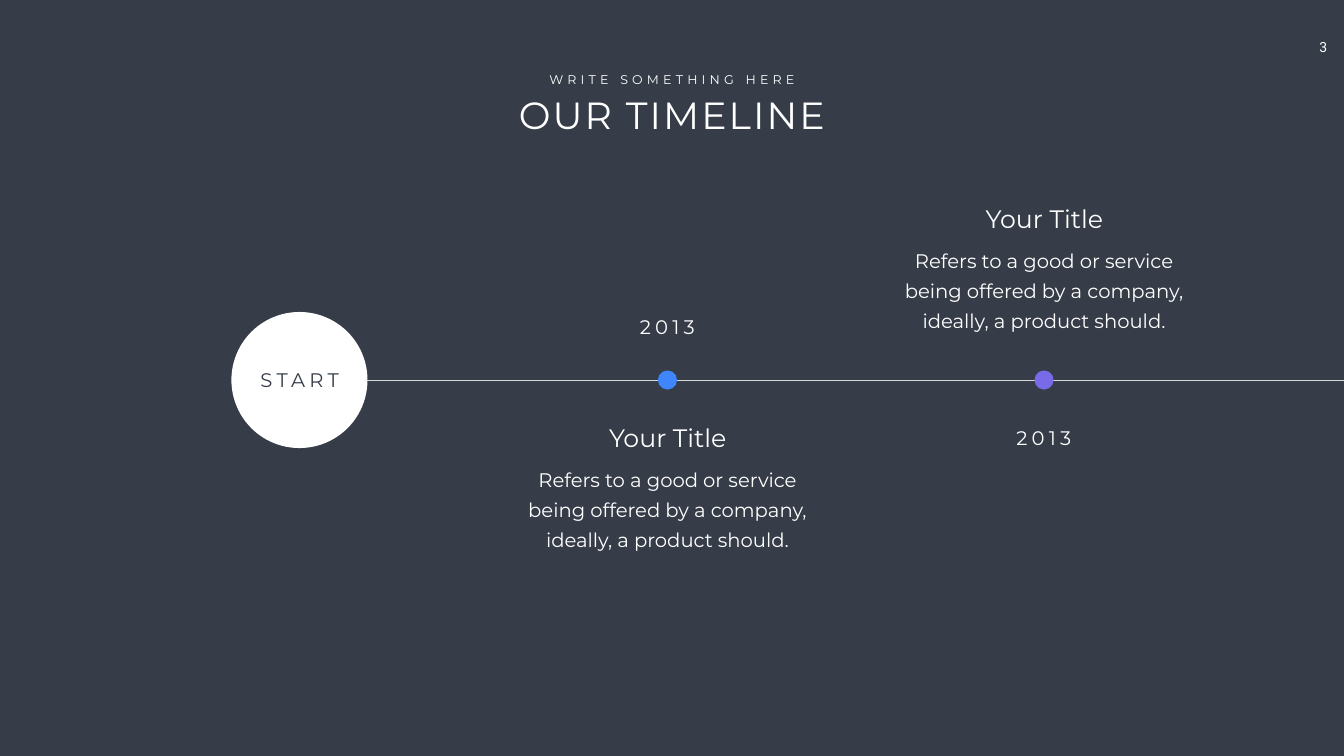
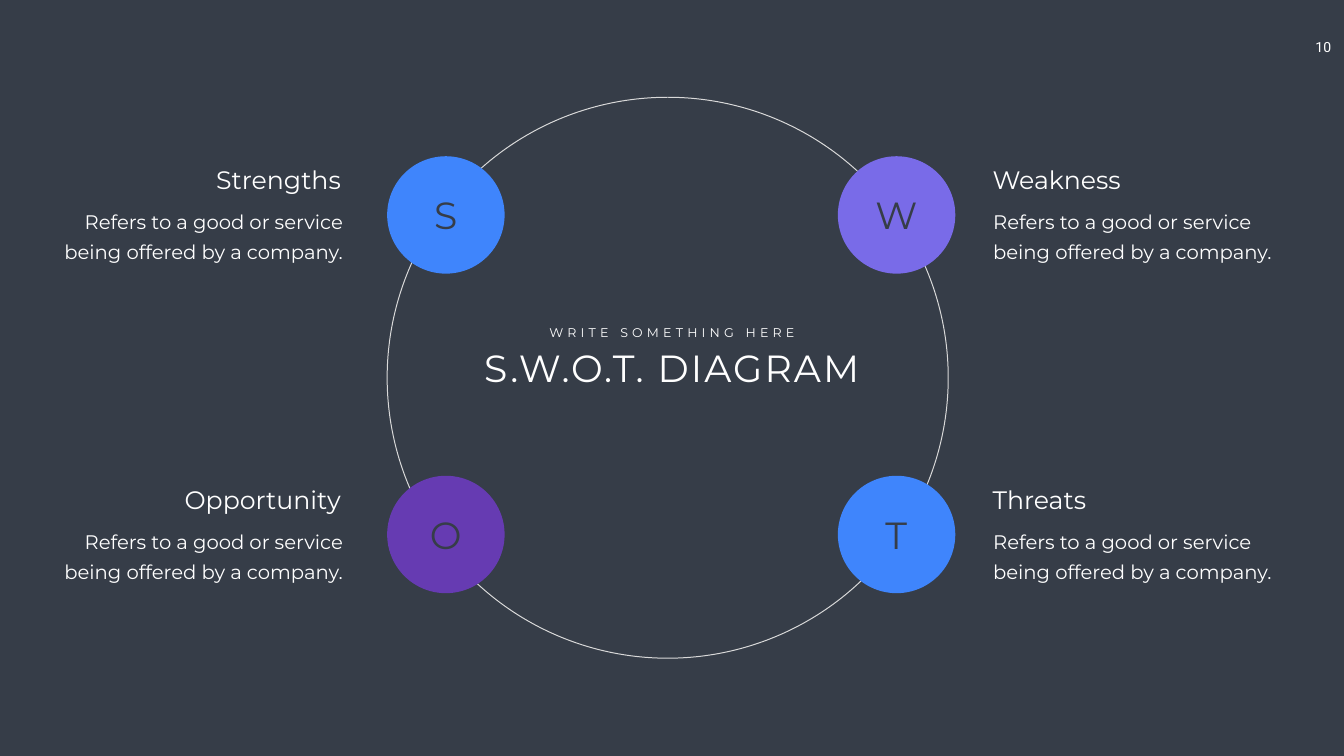
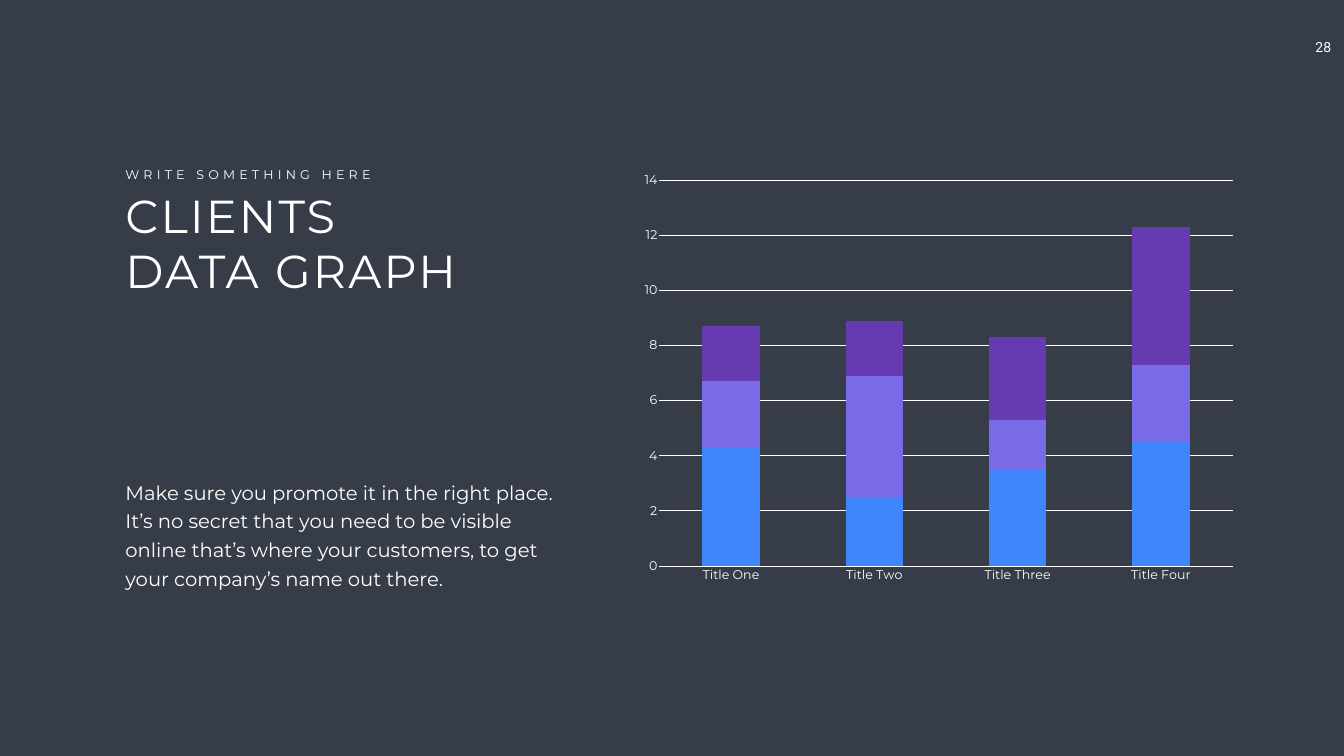
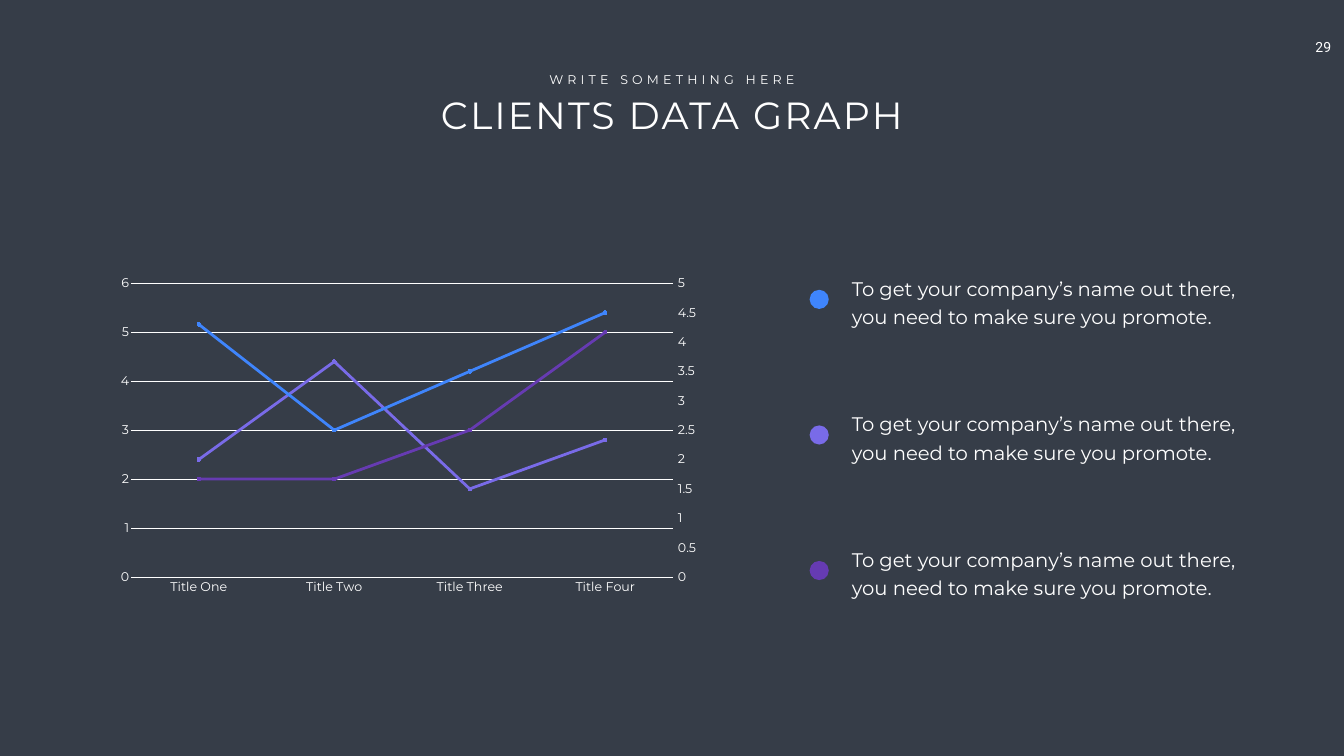
import copy
import dataclasses
import typing

import pptx
import pptx.chart.chart
import pptx.chart.data
import pptx.dml.color
import pptx.enum.chart
import pptx.enum.shapes
import pptx.enum.text
import pptx.oxml
import pptx.oxml.ns
import pptx.presentation
import pptx.slide
import pptx.util
from pptx.util import Inches

COLORS = {
    "background": "363D48",
    "white": "FFFFFF",
    "rule": "D9D9D9",
    "blue": "3F85FC",
    "lilac": "796BE8",
    "purple": "663BB2",
}
ALIGN = pptx.enum.text.PP_ALIGN
TITLE_OFFSET = {ALIGN.LEFT: 0.13, ALIGN.CENTER: 0.65, ALIGN.RIGHT: 1.11}
DOT_SIZE = 0.38
CATEGORIES = ["Title One", "Title Two", "Title Three", "Title Four"]


@dataclasses.dataclass(frozen=True)
class Frame:
    left: float
    top: float
    width: float
    height: float

    def lengths(self) -> tuple:
        return tuple(Inches(value) for value in dataclasses.astuple(self))


@dataclasses.dataclass(frozen=True)
class Style:
    size: float
    spacing: float = 0
    leading: typing.Optional[float] = None
    color: str = "white"
    font: str = "Montserrat"
    insets: tuple[float, float] = (0.1, 0.05)
    wrap: bool = True


EYEBROW = Style(18, spacing=6, wrap=False)
TITLE = Style(54, spacing=3)
LARGE_TITLE = Style(66, spacing=3)
SUBTITLE = Style(36)
DETAIL = Style(28, leading=43, insets=(0.24, 0.12))
BODY = Style(28, leading=40.8)
YEAR = Style(28, spacing=6)
START = dataclasses.replace(YEAR, color="background")
LETTER = dataclasses.replace(TITLE, color="background")
PAGE_NUMBER = Style(20, font="Roboto", insets=(0.2, 0.1), wrap=False)


@dataclasses.dataclass(frozen=True)
class Milestone:
    center: float
    color: str
    year_top: float
    caption_top: float


@dataclasses.dataclass(frozen=True)
class Quadrant:
    title: str
    color: str
    left: float
    top: float
    caption_left: float
    align: ALIGN


@dataclasses.dataclass(frozen=True)
class Series:
    name: str
    values: tuple[float, ...]
    color: str


@dataclasses.dataclass(frozen=True)
class Scale:
    maximum: float
    step: float


def rgb(name: str) -> pptx.dml.color.RGBColor:
    return pptx.dml.color.RGBColor.from_string(COLORS[name])


def add_text(page: pptx.slide.Slide, frame: Frame, text: str, style: Style,
             align: ALIGN = ALIGN.CENTER) -> None:
    box = page.shapes.add_textbox(*frame.lengths())
    body = box.text_frame
    body.word_wrap = style.wrap
    body.auto_size = pptx.enum.text.MSO_AUTO_SIZE.SHAPE_TO_FIT_TEXT
    side, edge = (Inches(value) for value in style.insets)
    body.margin_left = body.margin_right = side
    body.margin_top = body.margin_bottom = edge
    para = body.paragraphs[0]
    para.alignment = align
    if style.leading:
        para.line_spacing = pptx.util.Pt(style.leading)
    span = para.add_run()
    span.text = text
    span.font.name = style.font
    span.font.size = pptx.util.Pt(style.size)
    span.font.color.rgb = rgb(style.color)
    if style.spacing:
        span._r.get_or_add_rPr().set("spc", str(round(style.spacing * 100)))


def add_circle(page: pptx.slide.Slide, left: float, top: float, size: float,
               fill: typing.Optional[str] = None) -> None:
    circle = page.shapes.add_shape(pptx.enum.shapes.MSO_SHAPE.OVAL,
                                   *Frame(left, top, size, size).lengths())
    circle.shadow.inherit = False
    if fill:
        circle.fill.solid()
        circle.fill.fore_color.rgb = rgb(fill)
        circle.line.fill.background()
    else:
        circle.fill.background()
        circle.line.color.rgb = rgb("rule")
        circle.line.width = pptx.util.Pt(1.42)


def add_rule(page: pptx.slide.Slide, left: float, right: float, y: float) -> None:
    rule = page.shapes.add_connector(pptx.enum.shapes.MSO_CONNECTOR.STRAIGHT,
                                     Inches(left), Inches(y), Inches(right), Inches(y))
    rule.line.color.rgb = rgb("rule")
    rule.line.width = pptx.util.Pt(0.5)
    rule._element.spPr.append(pptx.oxml.parse_xml(
        f"<a:effectLst {pptx.oxml.ns.nsdecls('a')}/>"))


def add_page(deck: pptx.presentation.Presentation, number: int) -> pptx.slide.Slide:
    page = deck.slides.add_slide(deck.slide_layouts[6])
    add_text(page, Frame(25.8, 0.67, 0.9, 0.54), str(number), PAGE_NUMBER)
    return page


def add_heading(page: pptx.slide.Slide, title: str, top: float = 1.37) -> None:
    add_text(page, Frame(7.38, top + 0.4, 11.9, 1.01), title, TITLE)
    add_text(page, Frame(10.74, top, 5.18, 0.4), "WRITE SOMETHING HERE", EYEBROW)


def add_caption(page: pptx.slide.Slide, left: float, top: float, title: str,
                detail: str, height: float, align: ALIGN = ALIGN.CENTER) -> None:
    add_text(page, Frame(left, top + 0.71, 6.1, height), detail, DETAIL, align)
    add_text(page, Frame(left + TITLE_OFFSET[align], top, 4.81, 0.71), title, SUBTITLE, align)


def place_plot(chart: pptx.chart.chart.Chart, frame: Frame, plot: Frame) -> None:
    shares = {
        "x": (plot.left - frame.left) / frame.width,
        "y": (plot.top - frame.top) / frame.height,
        "w": plot.width / frame.width,
        "h": plot.height / frame.height,
    }
    modes = '<c:layoutTarget val="inner"/><c:xMode val="edge"/><c:yMode val="edge"/>'
    values = "".join(f'<c:{key} val="{share:.4f}"/>' for key, share in shares.items())
    area = chart._chartSpace.chart.plotArea
    for layout in area.findall(pptx.oxml.ns.qn("c:layout")):
        area.remove(layout)
    area.insert(0, pptx.oxml.parse_xml(
        f"<c:layout {pptx.oxml.ns.nsdecls('c')}><c:manualLayout>"
        f"{modes}{values}</c:manualLayout></c:layout>"))


def add_data_chart(page: pptx.slide.Slide, kind: pptx.enum.chart.XL_CHART_TYPE,
                   frame: Frame, plot: Frame, series: list[Series],
                   scale: Scale) -> pptx.chart.chart.Chart:
    data = pptx.chart.data.CategoryChartData()
    data.categories = CATEGORIES
    for entry in series:
        data.add_series(entry.name, entry.values)
    chart = page.shapes.add_chart(kind, *frame.lengths(), data).chart
    chart.has_legend = False
    chart.has_title = False
    chart.font.name = "Montserrat"
    chart.font.size = pptx.util.Pt(18)
    chart.font.color.rgb = rgb("white")
    chart.plots[0].vary_by_categories = False
    value_axis = chart.value_axis
    value_axis.minimum_scale = 0
    value_axis.maximum_scale = scale.maximum
    value_axis.major_unit = scale.step
    value_axis.format.line.fill.background()
    for line in (value_axis.major_gridlines.format.line, chart.category_axis.format.line):
        line.color.rgb = rgb("white")
        line.width = pptx.util.Pt(0.75)
    for axis in (value_axis, chart.category_axis):
        axis.major_tick_mark = pptx.enum.chart.XL_TICK_MARK.NONE
        axis.minor_tick_mark = pptx.enum.chart.XL_TICK_MARK.NONE
    place_plot(chart, frame, plot)
    return chart


def move_last_series_to_right_axis(chart: pptx.chart.chart.Chart, scale: Scale) -> None:
    qn = pptx.oxml.ns.qn
    area = chart._chartSpace.chart.plotArea
    left_lines = area.find(qn("c:lineChart"))
    right_lines = copy.deepcopy(left_lines)
    left_lines.remove(left_lines.findall(qn("c:ser"))[-1])
    for entry in right_lines.findall(qn("c:ser"))[:-1]:
        right_lines.remove(entry)
    left_lines.addnext(right_lines)
    category = copy.deepcopy(area.find(qn("c:catAx")))
    value = copy.deepcopy(area.find(qn("c:valAx")))
    area.find(qn("c:valAx")).addnext(value)
    value.addnext(category)
    new_ids = {category.find(qn("c:axId")).get("val"): "5001",
               value.find(qn("c:axId")).get("val"): "5002"}
    for part in (right_lines, category, value):
        for tag in ("c:axId", "c:crossAx"):
            for link in part.findall(qn(tag)):
                link.set("val", new_ids[link.get("val")])
    category.find(qn("c:delete")).set("val", "1")
    value.remove(value.find(qn("c:majorGridlines")))
    value.find(qn("c:scaling")).find(qn("c:max")).set("val", str(scale.maximum))
    settings = {"c:axPos": "r", "c:crosses": "max", "c:majorTickMark": "out",
                "c:majorUnit": str(scale.step)}
    for tag, setting in settings.items():
        value.find(qn(tag)).set("val", setting)


def build_timeline(deck: pptx.presentation.Presentation) -> None:
    page = add_page(deck, 3)
    add_heading(page, "OUR TIMELINE")
    axis = 7.54
    add_rule(page, 5.94, 26.66, axis)
    add_circle(page, 4.59, axis - 1.35, 2.7, "white")
    for stop in (Milestone(13.24, "blue", 6.19, 8.32), Milestone(20.71, "lilac", 8.41, 3.98)):
        add_circle(page, stop.center - DOT_SIZE / 2, axis - DOT_SIZE / 2, DOT_SIZE, stop.color)
        add_caption(page, stop.center - 3.05, stop.caption_top, "Your Title",
                    "Refers to a good or service being offered by a company, "
                    "ideally, a product should.", 2)
        add_text(page, Frame(stop.center - 1.05, stop.year_top, 2.09, 0.57), "2013", YEAR)
    add_text(page, Frame(4.9, 7.26, 2.09, 0.57), "START", START)


def build_swot(deck: pptx.presentation.Presentation) -> None:
    page = add_page(deck, 10)
    add_heading(page, "S.W.O.T. DIAGRAM", 6.39)
    add_circle(page, 7.68, 1.93, 11.13)
    left, right, upper, lower = 7.68, 16.62, 3.1, 9.44
    quadrants = [
        Quadrant("Strengths", "blue", left, upper, 0.94, ALIGN.RIGHT),
        Quadrant("Weakness", "lilac", right, upper, 19.46, ALIGN.LEFT),
        Quadrant("Opportunity", "purple", left, lower, 0.94, ALIGN.RIGHT),
        Quadrant("Threats", "blue", right, lower, 19.46, ALIGN.LEFT),
    ]
    for item in quadrants:
        add_circle(page, item.left, item.top, 2.33, item.color)
        add_text(page, Frame(item.left + 0.24, item.top + 0.66, 1.84, 1.01),
                 item.title[0], LETTER)
        add_caption(page, item.caption_left, item.top + 0.11, item.title,
                    "Refers to a good or service being offered by a company.",
                    1.39, item.align)


def build_column_graph(deck: pptx.presentation.Presentation) -> None:
    page = add_page(deck, 28)
    series = [
        Series("Series 1", (4.3, 2.5, 3.5, 4.5), "blue"),
        Series("Series 2", (2.4, 4.4, 1.8, 2.8), "lilac"),
        Series("Series 3", (2, 2, 3, 5), "purple"),
    ]
    chart = add_data_chart(page, pptx.enum.chart.XL_CHART_TYPE.COLUMN_STACKED,
                           Frame(12.52, 3.26, 12.17, 8.49),
                           Frame(13.08, 3.57, 11.37, 7.66), series, Scale(14, 2))
    chart.plots[0].gap_width = 150
    chart.plots[0].overlap = 100
    for entry, columns in zip(series, chart.plots[0].series):
        columns.format.fill.solid()
        columns.format.fill.fore_color.rgb = rgb(entry.color)
    add_text(page, Frame(2.39, 9.39, 8.86, 2.35),
             "Make sure you promote it in the right place. It’s no secret that you need "
             "to be visible online that’s where your customers, to get your company’s "
             "name out there.", BODY, ALIGN.LEFT)
    add_text(page, Frame(2.39, 3.66, 7, 2.32), "CLIENTS DATA GRAPH", LARGE_TITLE, ALIGN.LEFT)
    add_text(page, Frame(2.39, 3.26, 5.18, 0.4), "WRITE SOMETHING HERE", EYEBROW, ALIGN.LEFT)


def build_line_graph(deck: pptx.presentation.Presentation) -> None:
    page = add_page(deck, 29)
    add_heading(page, "CLIENTS DATA GRAPH")
    for row, color in enumerate(("blue", "lilac", "purple")):
        top = 5.34 + 2.69 * row
        add_circle(page, 16.06, top + 0.41, DOT_SIZE, color)
        add_text(page, Frame(16.8, top, 8.05, 1.2),
                 "To get your company’s name out there, you need to make sure you promote.",
                 BODY, ALIGN.LEFT)
    series = [
        Series("Series 1", (2.4, 4.4, 1.8, 2.8), "lilac"),
        Series("Series 2", (2, 2, 3, 5), "purple"),
        Series("Series 3", (4.3, 2.5, 3.5, 4.5), "blue"),
    ]
    chart = add_data_chart(page, pptx.enum.chart.XL_CHART_TYPE.LINE_MARKERS,
                           Frame(2.16, 5.34, 11.9, 6.59),
                           Frame(2.6, 5.62, 10.75, 5.83), series, Scale(6, 1))
    for entry, line in zip(series, chart.plots[0].series):
        line.smooth = False
        line.format.line.color.rgb = rgb(entry.color)
        line.format.line.width = pptx.util.Pt(4)
        line.marker.style = pptx.enum.chart.XL_MARKER_STYLE.CIRCLE
        line.marker.size = 5
        line.marker.format.fill.solid()
        line.marker.format.fill.fore_color.rgb = rgb(entry.color)
        line.marker.format.line.color.rgb = rgb(entry.color)
    move_last_series_to_right_axis(chart, Scale(5, 0.5))


def main() -> None:
    deck = pptx.Presentation()
    deck.slide_width = Inches(26.66)
    deck.slide_height = Inches(15)
    backdrop = deck.slide_master.background.fill
    backdrop.solid()
    backdrop.fore_color.rgb = rgb("background")
    for build in (build_timeline, build_swot, build_column_graph, build_line_graph):
        build(deck)
    deck.save("out.pptx")


if __name__ == "__main__":
    main()
